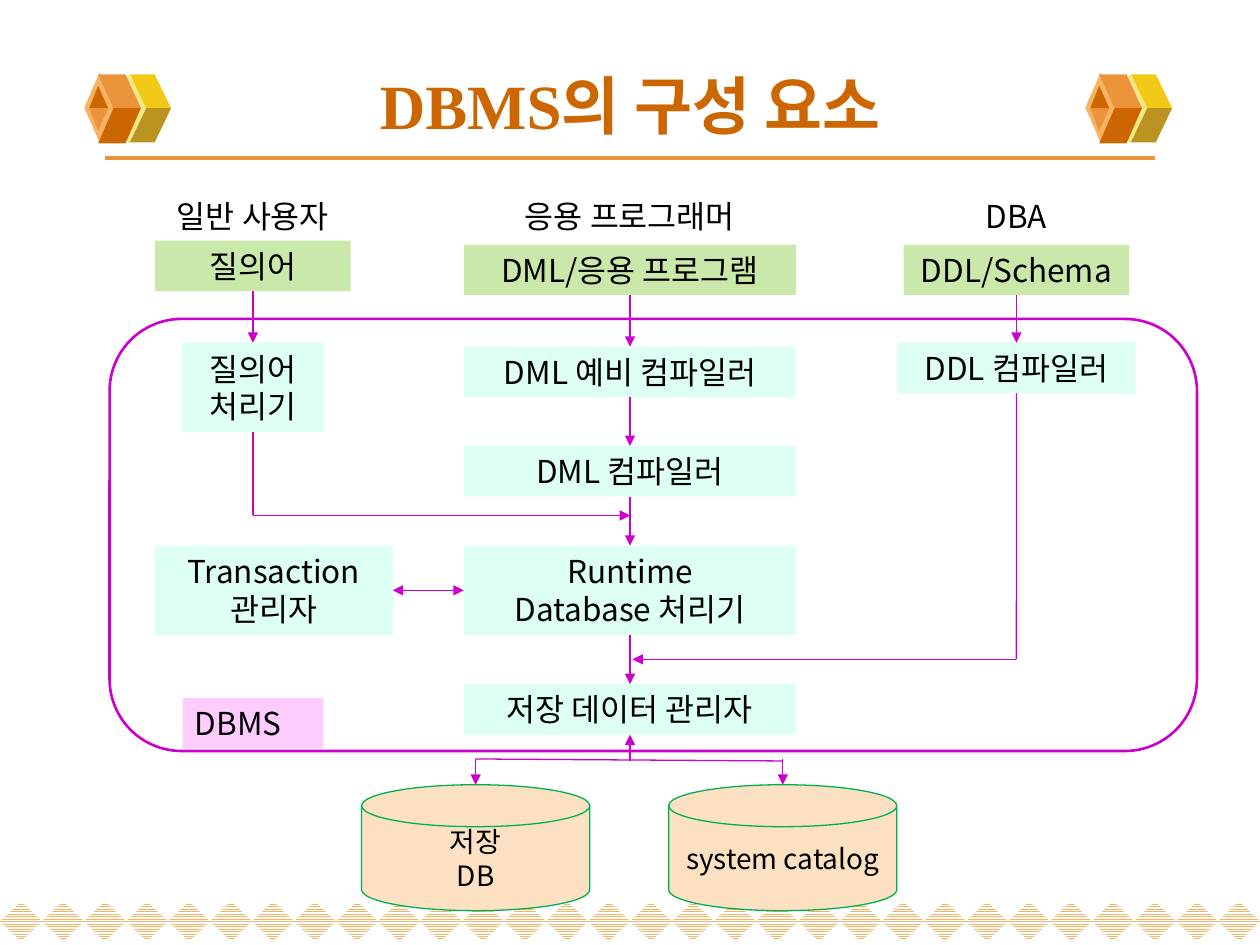
import pptx
import pptx.util
import pptx.dml.color
import pptx.enum.dml
import pptx.enum.shapes
import pptx.enum.text
import pptx.oxml.ns
import lxml.etree
from dataclasses import dataclass
from typing import Optional

Cm = pptx.util.Cm
Pt = pptx.util.Pt
RGBColor = pptx.dml.color.RGBColor
Kind = pptx.enum.shapes.MSO_SHAPE
Align = pptx.enum.text.PP_ALIGN
Anchor = pptx.enum.text.MSO_ANCHOR
qn = pptx.oxml.ns.qn

BLACK = RGBColor(0x00, 0x00, 0x00)
WHITE = RGBColor(0xFF, 0xFF, 0xFF)
RUST = RGBColor(0xCC, 0x66, 0x00)
ORANGE = RGBColor(0xEB, 0x93, 0x3B)
AMBER = RGBColor(0xF5, 0xB3, 0x63)
CREAM = RGBColor(0xF1, 0xE7, 0x85)
GOLD = RGBColor(0xF3, 0xC9, 0x17)
OLIVE = RGBColor(0xBB, 0x93, 0x21)
LIME = RGBColor(0xCA, 0xE8, 0xAA)
MINT = RGBColor(0xDD, 0xFF, 0xF4)
PINK = RGBColor(0xFF, 0xCC, 0xFF)
PEACH = RGBColor(0xFB, 0xE1, 0xC1)
GREEN = RGBColor(0x00, 0xB0, 0x50)
PURPLE = RGBColor(0xCC, 0x00, 0xCC)

SANS = "Noto Sans CJK KR"
SERIF = "Times New Roman"
LEFT, MID, RIGHT = 5.1, 12.7, 20.49
ONE, TWO = 1.02, 1.8
TOP, BOTTOM = 0, 2
WEST, EAST = 1, 3


@dataclass
class Box:
    text: str
    mid: float
    top: float
    wide: float
    high: float = ONE
    fill: Optional[RGBColor] = MINT
    kind: Kind = Kind.RECTANGLE
    edge: Optional[RGBColor] = None
    size: int = 18
    align: Align = Align.CENTER


@dataclass
class Wire:
    start: tuple
    end: tuple
    head: bool = False
    tail: bool = True
    width: float = 0.75
    color: RGBColor = PURPLE


def style(frame, size: int, name: str, color: RGBColor, align: Align, bold: bool = False) -> None:
    frame.word_wrap = True
    frame.vertical_anchor = Anchor.MIDDLE
    for para in frame.paragraphs:
        para.alignment = align
        font = para.font
        font.size, font.name, font.bold = Pt(size), name, bold
        font.color.rgb = color
        props = para._p.pPr.find(qn("a:defRPr"))
        lxml.etree.SubElement(props, qn("a:ea"), typeface=SANS)


def paint(shape, fill: Optional[RGBColor], edge: Optional[RGBColor] = None, width: float = 0.75) -> None:
    shape.shadow.inherit = False
    if fill is None:
        shape.fill.background()
    else:
        shape.fill.solid()
        shape.fill.fore_color.rgb = fill
    if edge is None:
        shape.line.fill.background()
    else:
        shape.line.color.rgb = edge
        shape.line.width = Pt(width)


def draw_box(slide, box: Box):
    place = Cm(box.mid - box.wide / 2), Cm(box.top), Cm(box.wide), Cm(box.high)
    if box.fill is None:
        shape = slide.shapes.add_textbox(*place)
    else:
        shape = slide.shapes.add_shape(box.kind, *place)
        paint(shape, box.fill, box.edge)
    shape.text_frame.text = box.text
    style(shape.text_frame, box.size, SANS, BLACK, box.align)
    return shape


def draw_wire(slide, wire: Wire, nodes: dict) -> None:
    line = slide.shapes.add_connector(pptx.enum.shapes.MSO_CONNECTOR.STRAIGHT, 0, 0, 0, 0)
    if isinstance(wire.start[0], str):
        line.begin_connect(nodes[wire.start[0]], wire.start[1])
    else:
        line.begin_x, line.begin_y = map(Cm, wire.start)
    if isinstance(wire.end[0], str):
        line.end_connect(nodes[wire.end[0]], wire.end[1])
    else:
        line.end_x, line.end_y = map(Cm, wire.end)
    line.line.color.rgb = wire.color
    line.line.width = Pt(wire.width)
    props = line._element.spPr
    for tag, shown in (("a:headEnd", wire.head), ("a:tailEnd", wire.tail)):
        if shown:
            lxml.etree.SubElement(props.find(qn("a:ln")), qn(tag), type="triangle")
    lxml.etree.SubElement(props, qn("a:effectLst"))


def draw_gem(slide, left: float, top: float, wide: float, color: RGBColor) -> None:
    gem = slide.shapes.add_shape(Kind.DIAMOND, Cm(left), Cm(top), Cm(wide), Cm(1.4))
    paint(gem, color)


def draw_face(slide, points: list, color: RGBColor) -> None:
    spots = [(Cm(x), Cm(y)) for x, y in points]
    pen = slide.shapes.build_freeform(*spots[0], scale=1.0)
    pen.add_line_segments(spots[1:], close=True)
    paint(pen.convert_to_shape(), color)


def draw_cube(slide, left: float) -> None:
    axis = 2.18
    draw_gem(slide, left + 0.48, 1.5, 0.84, CREAM)
    for rise, color in ((-0.68, GOLD), (0.69, OLIVE)):
        draw_slant(slide, left + 0.92, 0.33, 0.5, axis, rise, color)
    draw_gem(slide, left, 1.47, 0.61, AMBER)
    for rise, color in ((-0.68, ORANGE), (0.71, RUST)):
        draw_slant(slide, left + 0.28, 0.31, 0.55, axis, rise, color)
    for rise, color in ((-0.45, RUST), (0.46, ORANGE)):
        points = [(left + 0.28, axis + rise), (left + 0.1, axis), (left + 0.48, axis)]
        draw_face(slide, points, color)


def draw_slant(slide, left: float, lean: float, wide: float, axis: float, rise: float, color: RGBColor) -> None:
    far = axis + rise
    points = [(left + lean, axis), (left + lean + wide, axis), (left + wide, far), (left, far)]
    draw_face(slide, points, color)


def draw_band(slide) -> None:
    count = 30
    wide = 25.4 / count
    for step in range(count):
        gem = slide.shapes.add_shape(Kind.DIAMOND, Cm(step * wide), Cm(18.17), Cm(wide), Cm(0.81))
        gem.shadow.inherit = False
        gem.fill.patterned()
        gem.fill.pattern = pptx.enum.dml.MSO_PATTERN.NARROW_HORIZONTAL
        gem.fill.fore_color.rgb = AMBER
        gem.fill.back_color.rgb = WHITE
        gem.line.fill.background()


BOXES = {
    "user": Box("일반 사용자", LEFT, 3.84, 3.94, fill=None),
    "coder": Box("응용 프로그래머", MID, 3.84, 5.21, fill=None),
    "admin": Box("DBA", RIGHT, 3.84, 3.94, fill=None),
    "query": Box("질의어", LEFT, 4.85, 3.94, fill=LIME),
    "program": Box("DML/응용 프로그램", MID, 4.93, 6.7, fill=LIME),
    "schema": Box("DDL/Schema", RIGHT, 4.93, 4.55, fill=LIME),
    "prep": Box("DML 예비 컴파일러", MID, 6.99, 6.7),
    "ddl": Box("DDL 컴파일러", RIGHT, 6.91, 4.8),
    "dml": Box("DML 컴파일러", MID, 8.99, 6.7),
    "solver": Box("질의어\n처리기", LEFT, 6.91, 2.87, TWO),
    "runtime": Box("Runtime\nDatabase 처리기", MID, 11, 6.7, TWO),
    "trans": Box("Transaction\n관리자", 5.52, 11, 4.8, TWO),
    "store": Box("저장 데이터 관리자", MID, 13.79, 6.7),
    "data": Box("저장\nDB", 9.59, 15.82, 4.6, 2.54, PEACH, Kind.FLOWCHART_MAGNETIC_DISK, GREEN, 16),
    "catalog": Box("system catalog", 15.78, 15.82, 4.6, 2.54, PEACH, Kind.FLOWCHART_MAGNETIC_DISK, GREEN, 16),
}

WIRES = [
    Wire((2.12, 3.18), (23.28, 3.18), tail=False, width=2.25, color=ORANGE),
    Wire(("query", BOTTOM), ("solver", TOP), width=1),
    Wire(("program", BOTTOM), ("prep", TOP)),
    Wire(("schema", BOTTOM), ("ddl", TOP)),
    Wire(("prep", BOTTOM), ("dml", TOP)),
    Wire(("dml", BOTTOM), ("runtime", TOP)),
    Wire(("solver", BOTTOM), (LEFT, 10.39), tail=False),
    Wire((LEFT, 10.39), (MID, 10.39)),
    Wire(("trans", EAST), ("runtime", WEST), head=True),
    Wire(("runtime", BOTTOM), ("store", TOP)),
    Wire((RIGHT, 13.29), ("ddl", BOTTOM), tail=False),
    Wire((RIGHT, 13.29), (12.75, 13.29)),
    Wire((15.78, 15.3), (15.78, 15.82)),
    Wire((9.59, 15.3), (9.59, 15.82)),
    Wire((9.59, 15.3), (15.78, 15.34), tail=False),
    Wire(("store", BOTTOM), (MID, 15.34), head=True, tail=False),
]


def main() -> None:
    deck = pptx.Presentation()
    deck.slide_width, deck.slide_height = Cm(25.4), Cm(19.05)
    slide = deck.slides.add_slide(deck.slide_layouts[5])
    title = slide.shapes.title
    title.left, title.top, title.width, title.height = Cm(1.27), Cm(1.02), Cm(22.86), Cm(2.16)
    title.text_frame.text = "DBMS의 구성 요소"
    style(title.text_frame, 36, SERIF, RUST, Align.CENTER, True)
    draw_band(slide)
    for left in (1.7, 21.88):
        draw_cube(slide, left)
    nodes = {key: draw_box(slide, box) for key, box in BOXES.items()}
    for wire in WIRES:
        draw_wire(slide, wire, nodes)
    frame = slide.shapes.add_shape(Kind.ROUNDED_RECTANGLE, Cm(2.21), Cm(6.43), Cm(21.92), Cm(8.71))
    paint(frame, None, PURPLE, 1.5)
    draw_box(slide, Box("DBMS", LEFT, 14.07, 2.84, fill=PINK, align=Align.LEFT))
    deck.save("out.pptx")


if __name__ == "__main__":
    main()
